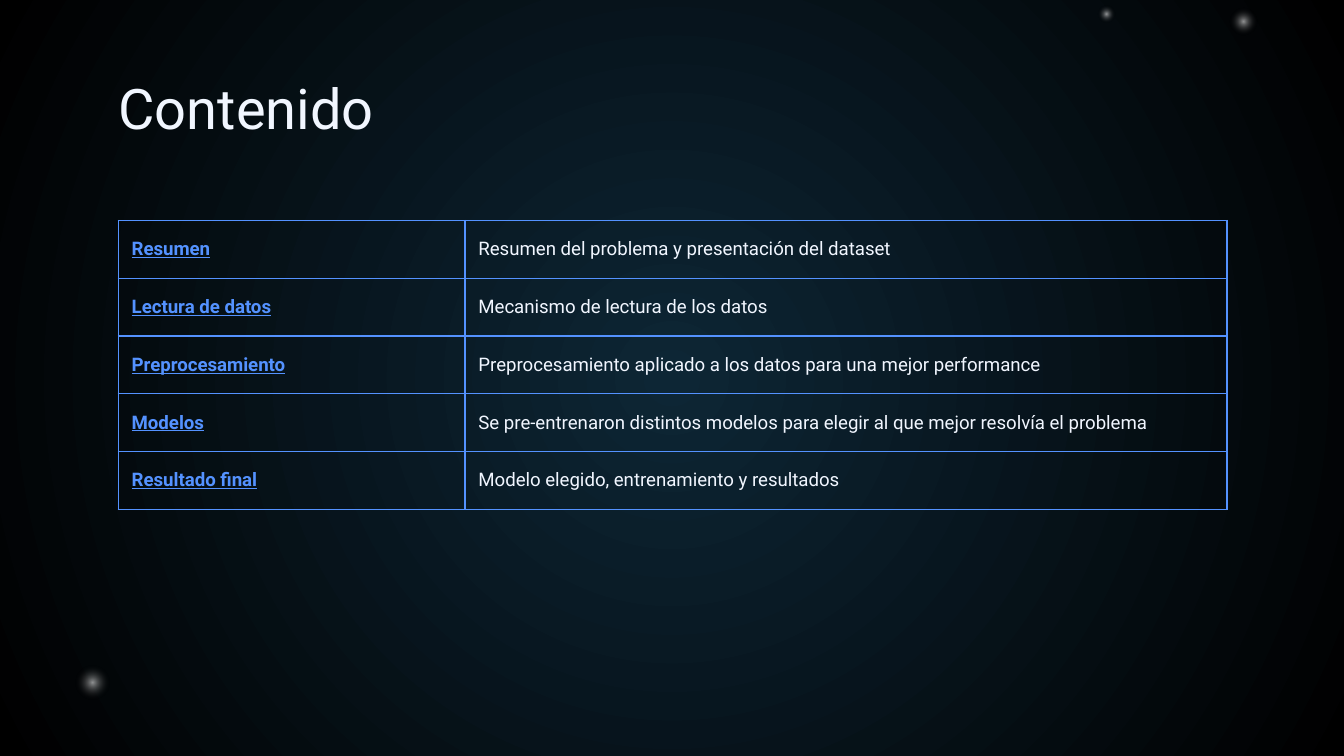
"""Build the dark contents slide with its starry background and section table."""
from typing import NamedTuple

from lxml import etree
from pptx import Presentation
from pptx.dml.color import RGBColor
from pptx.enum.shapes import MSO_SHAPE as Preset
from pptx.enum.text import MSO_ANCHOR as Anchor
from pptx.oxml import parse_xml
from pptx.oxml.ns import nsdecls, qn
from pptx.slide import Slide
from pptx.table import _Cell as Cell
from pptx.text.text import _Paragraph as Paragraph
from pptx.util import Inches, Pt

WIDTH = 10
HEIGHT = WIDTH * 9 / 16
FONT = "Roboto"
COLORS = {
    "text": "F1F6FF",
    "accent": "5492FF",
    "glow": "0D2635",
    "night": "000000",
    "star": "FFFFFF",
}
TABLE_LEFT, TABLE_TOP = 0.088 * WIDTH, 0.2915 * HEIGHT
COLUMN_WIDTHS = (2.58, 5.67)
ROW_HEIGHT = 0.43
INSET = 0.1


class Stop(NamedTuple):
    position: int
    color: str
    opacity: int = 100


class Star(NamedTuple):
    center_x: float
    center_y: float
    size: float


class Section(NamedTuple):
    name: str
    description: str


STARS = (
    Star(0.8235, 0.0187, 0.33),
    Star(0.925, 0.0284, 0.52),
    Star(0.069, 0.903, 0.66),
)
SECTIONS = (
    Section("Resumen", "Resumen del problema y presentación del dataset"),
    Section("Lectura de datos", "Mecanismo de lectura de los datos"),
    Section("Preprocesamiento", "Preprocesamiento aplicado a los datos para una mejor performance"),
    Section("Modelos", "Se pre-entrenaron distintos modelos para elegir al que mejor resolvía el problema"),
    Section("Resultado final", "Modelo elegido, entrenamiento y resultados"),
)
SKY_STOPS = (Stop(0, "glow"), Stop(100, "night"))
STAR_STOPS = (Stop(0, "star", 57), Stop(28, "night", 0), Stop(100, "night", 0))


def set_radial_fill(properties: etree._Element, stops: tuple[Stop, ...]) -> None:
    """Replace the solid fill with a circular gradient."""
    stop_xml = "".join(
        f'<a:gs pos="{stop.position * 1000}"><a:srgbClr val="{COLORS[stop.color]}">'
        f'<a:alpha val="{stop.opacity * 1000}"/></a:srgbClr></a:gs>'
        for stop in stops
    )
    gradient = parse_xml(
        f'<a:gradFill {nsdecls("a")} rotWithShape="1"><a:gsLst>{stop_xml}</a:gsLst>'
        '<a:path path="circle"><a:fillToRect l="50000" t="50000" r="50000" b="50000"/>'
        "</a:path></a:gradFill>"
    )
    properties.replace(properties.find(qn("a:solidFill")), gradient)


def style_paragraph(paragraph: Paragraph, size: float, color: str, emphasis: bool = False) -> None:
    """Set the font of a whole paragraph."""
    font = paragraph.font
    font.name, font.size = FONT, Pt(size)
    font.bold = font.underline = emphasis
    font.color.rgb = RGBColor.from_string(COLORS[color])


def draw_background(slide: Slide) -> None:
    """Fill the slide with the night sky glow."""
    slide.background.fill.solid()
    set_radial_fill(slide.element.find(".//" + qn("p:bgPr")), SKY_STOPS)


def draw_star(slide: Slide, star: Star) -> None:
    """Draw one softly glowing star."""
    left = star.center_x * WIDTH - star.size / 2
    top = star.center_y * HEIGHT - star.size / 2
    shape = slide.shapes.add_shape(
        Preset.OVAL, Inches(left), Inches(top), Inches(star.size), Inches(star.size)
    )
    shape.shadow.inherit = False
    shape.line.fill.background()
    shape.fill.solid()
    set_radial_fill(shape.element.spPr, STAR_STOPS)


def draw_title(slide: Slide, title: str) -> None:
    """Write the slide title."""
    box = slide.shapes.add_textbox(
        Inches(0.0784 * WIDTH), Inches(0.08 * HEIGHT), Inches(0.844 * WIDTH), Inches(0.63)
    )
    frame = box.text_frame
    frame.word_wrap = True
    frame.margin_left = frame.margin_right = Inches(INSET)
    frame.margin_top = frame.margin_bottom = Inches(INSET)
    frame.text = title
    style_paragraph(frame.paragraphs[0], 30, "text")


def set_borders(cell: Cell) -> None:
    """Outline a cell on all four sides."""
    properties = cell._tc.get_or_add_tcPr()
    for index, side in enumerate(("lnL", "lnR", "lnT", "lnB")):
        border = parse_xml(
            f'<a:{side} {nsdecls("a")} w="{Pt(0.75)}"><a:solidFill>'
            f'<a:srgbClr val="{COLORS["accent"]}"/></a:solidFill></a:{side}>'
        )
        properties.insert(index, border)


def fill_cell(cell: Cell, text: str, color: str, emphasis: bool) -> None:
    """Write and style one table cell."""
    cell.fill.background()
    cell.vertical_anchor = Anchor.MIDDLE
    cell.margin_left = cell.margin_right = Inches(INSET)
    cell.margin_top = cell.margin_bottom = Inches(INSET)
    cell.text = text
    style_paragraph(cell.text_frame.paragraphs[0], 10, color, emphasis)
    set_borders(cell)


def draw_contents(slide: Slide, sections: tuple[Section, ...]) -> None:
    """Draw the table of sections."""
    table = slide.shapes.add_table(
        len(sections), len(COLUMN_WIDTHS), Inches(TABLE_LEFT), Inches(TABLE_TOP),
        Inches(sum(COLUMN_WIDTHS)), Inches(ROW_HEIGHT * len(sections)),
    ).table
    table.first_row = table.horz_banding = False
    for column, width in zip(table.columns, COLUMN_WIDTHS):
        column.width = Inches(width)
    for row, section in zip(table.rows, sections):
        row.height = Inches(ROW_HEIGHT)
        fill_cell(row.cells[0], section.name, "accent", True)
        fill_cell(row.cells[1], section.description, "text", False)


def main() -> None:
    """Build and save the presentation."""
    presentation = Presentation()
    presentation.slide_width, presentation.slide_height = Inches(WIDTH), Inches(HEIGHT)
    slide = presentation.slides.add_slide(presentation.slide_layouts[6])
    draw_background(slide)
    for star in STARS:
        draw_star(slide, star)
    draw_title(slide, "Contenido")
    draw_contents(slide, SECTIONS)
    presentation.save("out.pptx")


if __name__ == "__main__":
    main()
